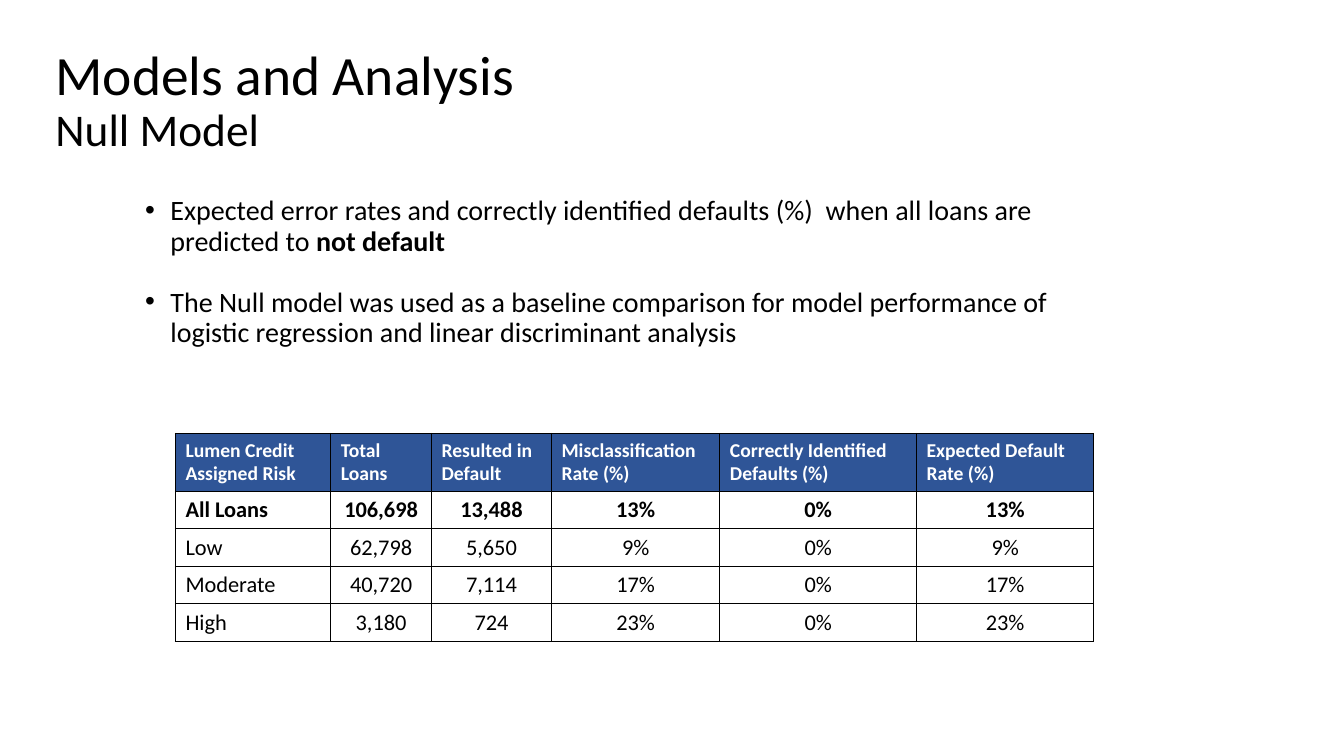
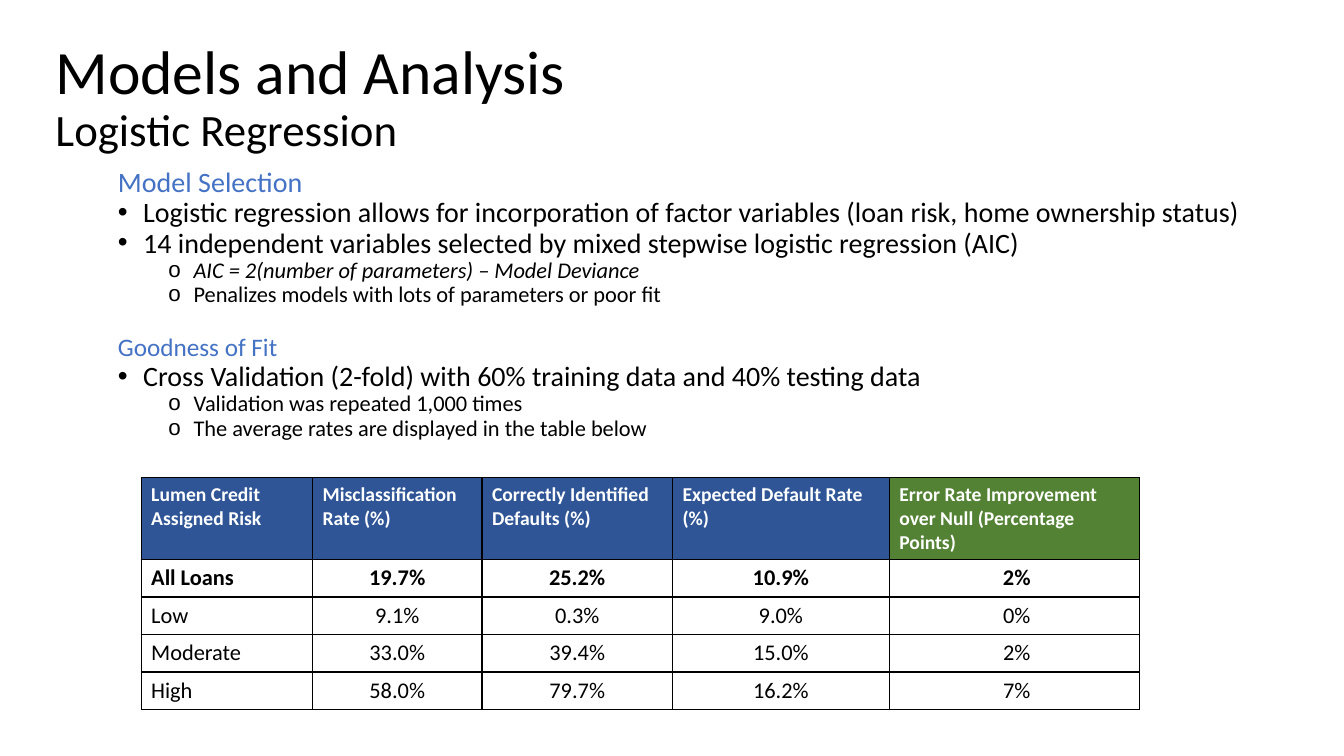
from lxml import etree
from pptx import Presentation
from pptx.dml.color import RGBColor
from pptx.enum.text import MSO_ANCHOR, MSO_AUTO_SIZE, PP_ALIGN
from pptx.oxml.ns import qn
from pptx.util import Inches, Pt

LEFT, CENTER = PP_ALIGN.LEFT, PP_ALIGN.CENTER
TOP, MIDDLE = MSO_ANCHOR.TOP, MSO_ANCHOR.MIDDLE
NO_AUTOFIT = MSO_AUTO_SIZE.NONE

FONT = "Calibri"
BLACK, WHITE = "000000", "FFFFFF"
NAVY, GREEN, ACCENT = "2F5597", "548235", "4472C4"
TITLE_AND_CONTENT = 1
HEADER_SIZE, CELL_SIZE = 14, 16
ROW_HEIGHT = 0.37
LINE_SPACING = 0.9
BULLET_STYLES = {
    "heading": (2, 1, 0, None),
    "point": (2, 1.25, -0.25, "•"),
    "detail": (3, 1.75, -0.25, "o"),
}


def color(value):
    return RGBColor.from_string(value)


def add_span(para, text, size, shade=BLACK, bold=False, italic=False):
    span = para.add_run()
    span.text = text
    span.font.name = FONT
    span.font.size = Pt(size)
    span.font.color.rgb = color(shade)
    span.font.bold = bold
    span.font.italic = italic


def prepare_frame(box, bounds, anchor):
    box.left, box.top, box.width, box.height = map(Inches, bounds)
    frame = box.text_frame
    frame.word_wrap = True
    frame.auto_size = NO_AUTOFIT
    frame.vertical_anchor = anchor
    frame.margin_left = frame.margin_right = Inches(0.1)
    frame.margin_top = frame.margin_bottom = Inches(0.1)
    return frame


def fill_title(page, bounds, topic, sizes):
    frame = prepare_frame(page.shapes.title, bounds, MIDDLE)
    para = frame.paragraphs[0]
    para.alignment = LEFT
    para.line_spacing = LINE_SPACING
    add_span(para, "Models and Analysis", sizes[0])
    para.add_line_break()
    add_span(para, topic, sizes[1])


def set_bullet(para, margin, indent, symbol):
    properties = para._p.get_or_add_pPr()
    properties.set("marL", str(Inches(margin)))
    properties.set("indent", str(Inches(indent)))
    if symbol:
        etree.SubElement(properties, qn("a:buChar")).set("char", symbol)
    else:
        etree.SubElement(properties, qn("a:buNone"))


def fill_body(page, bounds, items):
    frame = prepare_frame(page.placeholders[1], bounds, TOP)
    for index, (style, gap, spans) in enumerate(items):
        para = frame.add_paragraph() if index else frame.paragraphs[0]
        level, margin, indent, symbol = BULLET_STYLES[style]
        para.level = level
        para.alignment = LEFT
        para.line_spacing = LINE_SPACING
        para.space_before = Pt(gap)
        para.space_after = Pt(0)
        set_bullet(para, margin, indent, symbol)
        for text, size, look in spans:
            add_span(para, text, size, **look)


def outline_cell(cell):
    properties = cell._tc.get_or_add_tcPr()
    for index, side in enumerate(("lnL", "lnR", "lnT", "lnB")):
        line = etree.Element(qn(f"a:{side}"), w=str(Pt(1)))
        fill = etree.SubElement(line, qn("a:solidFill"))
        etree.SubElement(fill, qn("a:srgbClr")).set("val", BLACK)
        properties.insert(index, line)


def fill_cell(cell, text, row, column, header_fill):
    para = cell.text_frame.paragraphs[0]
    if row == 0:
        cell.fill.solid()
        cell.fill.fore_color.rgb = color(header_fill)
        add_span(para, text, HEADER_SIZE, WHITE, bold=True)
    else:
        cell.fill.background()
        add_span(para, text, CELL_SIZE, bold=row == 1)
    para.alignment = CENTER if row and column else LEFT
    outline_cell(cell)


def add_risk_table(page, left, top, widths, header_height, header_fills, rows):
    heights = [header_height] + [ROW_HEIGHT] * (len(rows) - 1)
    bounds = map(Inches, (left, top, sum(widths), sum(heights)))
    table = page.shapes.add_table(len(rows), len(widths), *bounds).table
    table.first_row = False
    table.horz_banding = False
    for column, width in zip(table.columns, widths):
        column.width = Inches(width)
    for row, height in zip(table.rows, heights):
        row.height = Inches(height)
    for row, values in enumerate(rows):
        for column, text in enumerate(values):
            fill_cell(table.cell(row, column), text, row, column, header_fills[column])


def build_null_model(page):
    fill_title(page, (0.45, 0.35, 12.42, 1.33), "Null Model", (39.6, 32.4))
    fill_body(page, (0.34, 1.85, 10.88, 2.02), [
        ("point", 0, [
            ("Expected error rates and correctly identified defaults (%)  when all loans are "
             "predicted to ", 20, {}),
            ("not default", 20, {"bold": True}),
        ]),
        ("point", 22, [
            ("The Null model was used as a baseline comparison for model performance of "
             "logistic regression and linear discriminant analysis", 20, {}),
        ]),
    ])
    add_risk_table(page, 1.74, 4.3, (1.54, 1, 1.19, 1.67, 1.95, 1.76), 0.57, [NAVY] * 6, [
        ("Lumen Credit Assigned Risk", "Total Loans", "Resulted in Default",
         "Misclassification Rate (%)", "Correctly Identified Defaults (%)",
         "Expected Default Rate (%)"),
        ("All Loans", "106,698", "13,488", "13%", "0%", "13%"),
        ("Low", "62,798", "5,650", "9%", "0%", "9%"),
        ("Moderate", "40,720", "7,114", "17%", "0%", "17%"),
        ("High", "3,180", "724", "23%", "0%", "23%"),
    ])


def build_logistic_regression(page):
    fill_title(page, (0.45, 0.27, 12.42, 1.41), "Logistic Regression", (44, 32))
    fill_body(page, (0.07, 1.57, 12.59, 2.97), [
        ("heading", 0, [("Model Selection", 20, {"shade": ACCENT})]),
        ("point", 0, [("Logistic regression allows for incorporation of factor variables "
                       "(loan risk, home ownership status)", 20, {})]),
        ("point", 0, [("14 independent variables selected by mixed stepwise logistic "
                       "regression (AIC)", 20, {})]),
        ("detail", 0, [("AIC = 2(number of parameters) – Model Deviance", 16, {"italic": True})]),
        ("detail", 0, [("Penalizes models with lots of parameters or poor fit", 16, {})]),
        ("heading", 19.8, [("Goodness of Fit", 18, {"shade": ACCENT})]),
        ("point", 0, [("Cross Validation (2-fold) with 60% training data and 40% testing data",
                       20, {})]),
        ("detail", 0, [("Validation was repeated 1,000 times", 16, {})]),
        ("detail", 0, [("The average rates are displayed in the table below", 16, {})]),
    ])
    fills = [NAVY] * 4 + [GREEN]
    add_risk_table(page, 1.4, 4.74, (1.7, 1.68, 1.89, 2.15, 2.48), 0.58, fills, [
        ("Lumen Credit Assigned Risk", "Misclassification Rate (%)",
         "Correctly Identified Defaults (%)", "Expected Default Rate (%)",
         "Error Rate Improvement over Null (Percentage Points)"),
        ("All Loans", "19.7%", "25.2%", "10.9%", " 2%"),
        ("Low", "9.1%", "0.3%", "9.0%", " 0%"),
        ("Moderate", "33.0%", "39.4%", "15.0%", " 2%"),
        ("High", "58.0%", "79.7%", "16.2%", " 7%"),
    ])


def main():
    deck = Presentation()
    deck.slide_width = Inches(13.33)
    deck.slide_height = Inches(7.5)
    for build in (build_null_model, build_logistic_regression):
        build(deck.slides.add_slide(deck.slide_layouts[TITLE_AND_CONTENT]))
    deck.save("out.pptx")


if __name__ == "__main__":
    main()
